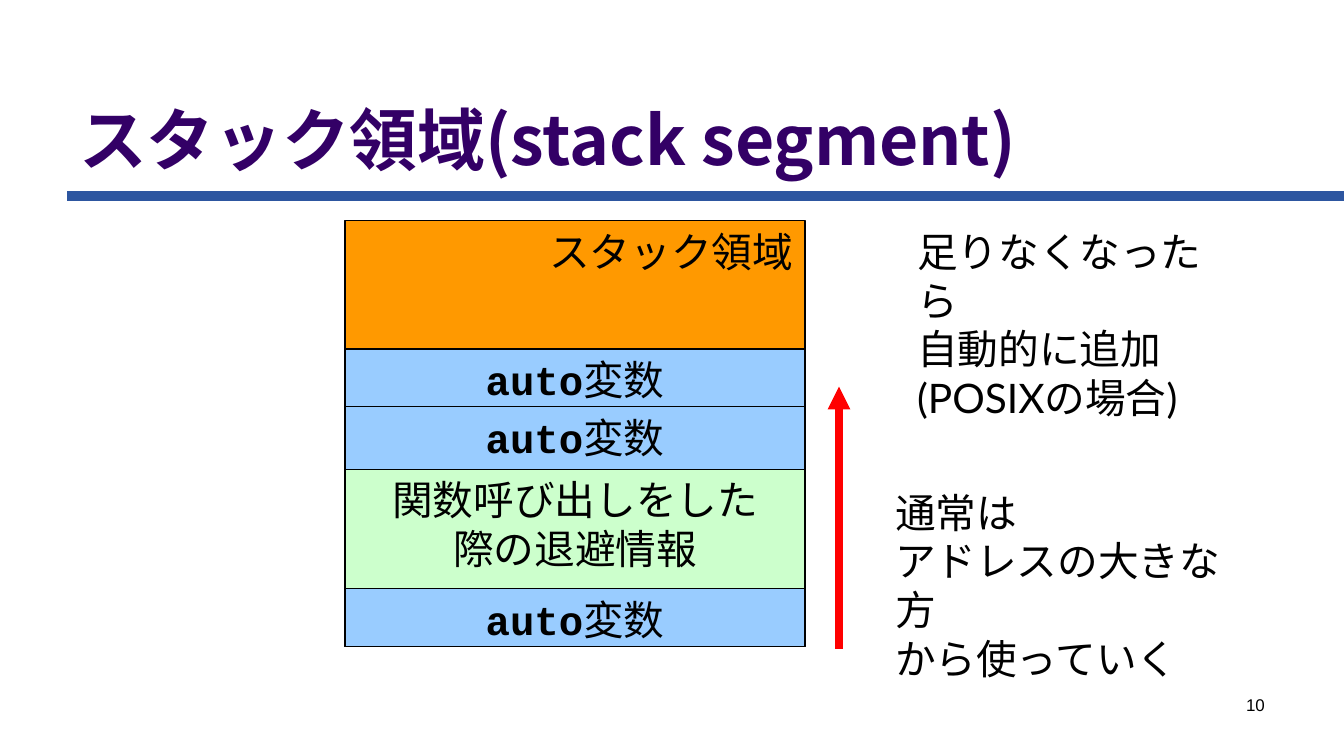
"""Builds the slide that explains the stack segment."""
from pptx import Presentation
from pptx import util as u
from pptx.dml.color import RGBColor
from pptx.enum import shapes, text
from pptx.oxml import ns, xmlchemy

COLORS = {"title": "330066", "rule": "2D56A0", "stack": "FF9900", "saved": "CCFFCC",
          "auto": "99CCFF", "ink": "000000", "arrow": "FF0000"}
JAPANESE, MONO, BODY, NUMBER = "Noto Sans CJK JP", "Courier New", "Lato", "Arial"
LEFT, CENTER, RIGHT = text.PP_ALIGN.LEFT, text.PP_ALIGN.CENTER, text.PP_ALIGN.RIGHT
TOP, BOTTOM = text.MSO_ANCHOR.TOP, text.MSO_ANCHOR.BOTTOM


def points(values):
    return [u.Pt(value) for value in values]


def color(name):
    return RGBColor.from_string(COLORS[name])


def add_run(paragraph, words, typeface=JAPANESE, ink="ink", **font_values):
    run = paragraph.add_run()
    run.text = words
    values = {"name": typeface, "size": u.Pt(24), "bold": False, **font_values}
    for name, value in values.items():
        setattr(run.font, name, value)
    run.font.color.rgb = color(ink)
    east_asian = xmlchemy.OxmlElement("a:ea")
    east_asian.set("typeface", JAPANESE)
    run.font._element.find(ns.qn("a:latin")).addnext(east_asian)


def write(shape, lines, align=LEFT, anchor=TOP, wrap=True):
    frame = shape.text_frame
    values = {"word_wrap": wrap, "vertical_anchor": anchor,
              "margin_left": u.Pt(7.2), "margin_right": u.Pt(7.2),
              "margin_top": u.Pt(3.6), "margin_bottom": u.Pt(3.6)}
    for name, value in values.items():
        setattr(frame, name, value)
    for index, runs in enumerate(lines):
        paragraph = frame.add_paragraph() if index else frame.paragraphs[0]
        paragraph.alignment = align
        for run in runs:
            add_run(paragraph, **run)


def add_line(slide, start, end, ink, width):
    line = slide.shapes.add_connector(shapes.MSO_CONNECTOR.STRAIGHT, *points(start + end))
    line.line.color.rgb = color(ink)
    line.line.width = u.Pt(width)
    line._element.spPr.append(xmlchemy.OxmlElement("a:effectLst"))
    return line


def add_block(slide, box, fill, lines, align=CENTER):
    block = slide.shapes.add_shape(shapes.MSO_SHAPE.RECTANGLE, *points(box))
    block.shadow.inherit = False
    block.fill.solid()
    block.fill.fore_color.rgb = color(fill)
    block.line.color.rgb = color("ink")
    block.line.width = u.Pt(0.74)
    write(block, lines, align)


def add_text(slide, box, lines, **layout):
    write(slide.shapes.add_textbox(*points(box)), lines, **layout)


def add_heading(slide, box):
    left, top, width, height = box
    add_line(slide, (left, top + height), (left + width, top + height), "rule", 5.67)
    title = {"words": "スタック領域(stack segment)", "ink": "title",
             "size": u.Pt(40), "bold": True}
    add_text(slide, (left, top, 714.25, height - 6.5), [[title]], anchor=BOTTOM)


def add_stack(slide, box):
    left, top, width, height = box
    add_block(slide, box, "stack", [[{"words": "スタック領域"}]], RIGHT)
    auto = [[{"words": "auto", "typeface": MONO, "bold": True}, {"words": "変数"}]]
    saved = [[{"words": "関数呼び出しをした"}], [{"words": "際の退避情報"}]]
    bottom = top + height
    for fill, lines, row_height in (("auto", auto, 34), ("saved", saved, 70.5),
                                    ("auto", auto, 37), ("auto", auto, 34)):
        bottom -= row_height
        add_block(slide, (left, bottom, width, row_height), fill, lines)


def add_growth(slide, box):
    left, top, width, height = box
    arrow = add_line(slide, (left, top + height - 1), (left, top + 98), "arrow", 4.51)
    arrow_head = xmlchemy.OxmlElement("a:tailEnd")
    arrow_head.set("type", "triangle")
    arrow.line._get_or_add_ln().append(arrow_head)
    notes = (((39, 0, 206, 94), False, ("足りなくなったら", "自動的に追加", "(POSIXの場合)")),
             ((26, 154, 229, 122), True, ("通常は", "アドレスの大きな方", "から使っていく")))
    for (x, y, note_width, note_height), wrap, lines in notes:
        add_text(slide, (left + x, top + y, note_width, note_height),
                 [[{"words": line.translate({40: "(", 41: ")"}), "typeface": BODY}]
                  for line in lines], wrap=wrap)


def add_page_number(slide, box):
    number = {"words": "10", "typeface": NUMBER, "size": u.Pt(10)}
    add_text(slide, box, [[number]], align=RIGHT)


def main():
    presentation = Presentation()
    presentation.slide_width, presentation.slide_height = points((793.44, 446.4))
    slide = presentation.slides.add_slide(presentation.slide_layouts[6])
    add_heading(slide, (39.6, 25.2, 753.84, 90.72))
    add_stack(slide, (203.75, 130.3, 271.5, 251.3))
    add_growth(slide, (495.3, 130.3, 255, 253.7))
    add_page_number(slide, (568.8, 406.8, 185, 29.5))
    presentation.save("out.pptx")


main()
